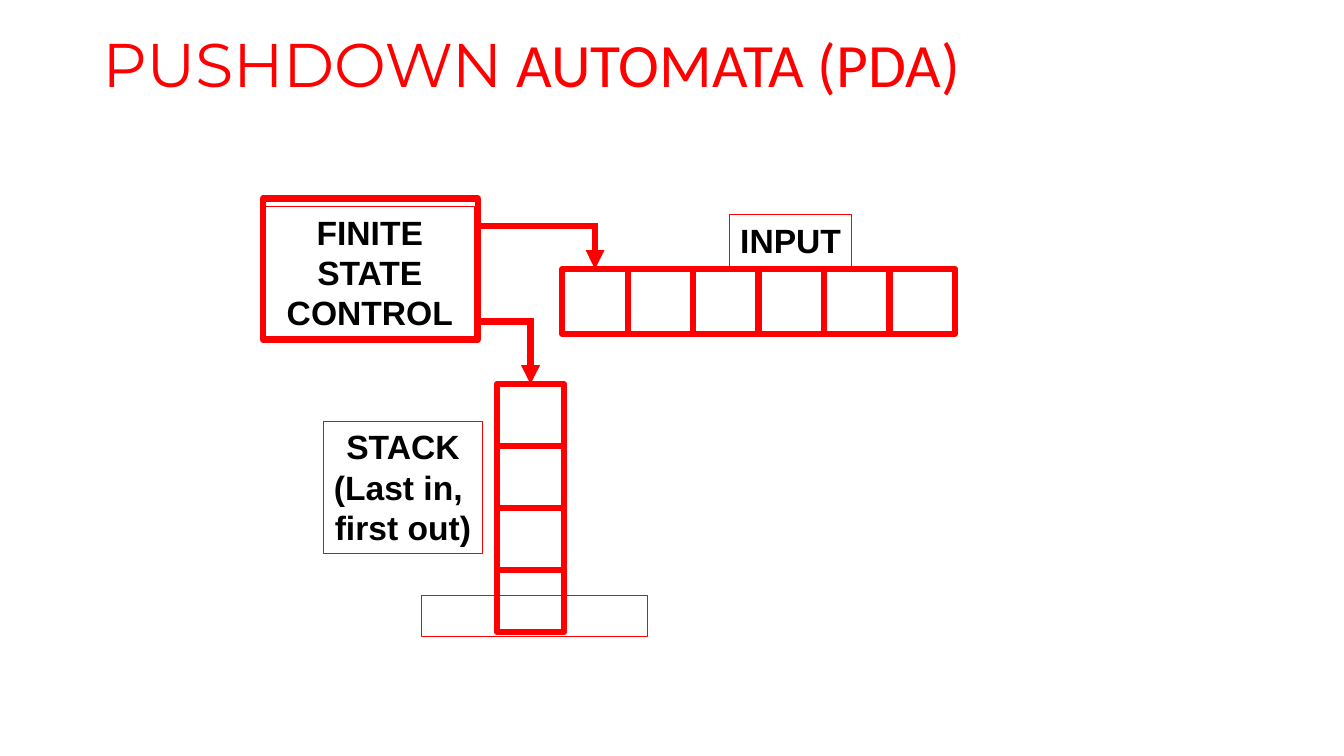
from dataclasses import dataclass

from lxml import etree
from pptx import Presentation
from pptx import util as u
from pptx.dml.color import RGBColor
from pptx.enum import shapes, text
from pptx.oxml import ns


@dataclass(frozen=True)
class Theme:
    red: RGBColor = RGBColor(0xFF, 0, 0)
    black: RGBColor = RGBColor(0, 0, 0)
    title_size: u.Pt = u.Pt(44)
    label_size: u.Pt = u.Pt(24)
    thick: u.Pt = u.Pt(4.5)
    thin: u.Pt = u.Pt(0.75)


THEME = Theme()


def add_title(s, parts):
    """Write one line from (wording, font) pairs."""
    tf = s.shapes.add_textbox(u.Cm(2.34), u.Cm(0.58), u.Cm(29.21), u.Cm(2.24)).text_frame
    tf.word_wrap = True
    tf.vertical_anchor = text.MSO_ANCHOR.MIDDLE
    p = tf.paragraphs[0]
    p.line_spacing = 0.9
    for wording, font in parts:
        r = p.add_run()
        r.text = wording
        r.font.name = font
        r.font.size = THEME.title_size
        r.font.color.rgb = THEME.red


def add_box(s, left, top, width, height, weight=THEME.thick):
    sp = s.shapes.add_shape(shapes.MSO_SHAPE.RECTANGLE,
                            u.Cm(left), u.Cm(top), u.Cm(width), u.Cm(height))
    sp.shadow.inherit = False
    sp.fill.background()
    sp.line.color.rgb = THEME.red
    sp.line.width = weight
    return sp


def add_label(s, wording, left, top, width, height, wrap=False):
    tf = add_box(s, left, top, width, height, THEME.thin).text_frame
    tf.text = wording
    tf.word_wrap = wrap
    tf.auto_size = text.MSO_AUTO_SIZE.SHAPE_TO_FIT_TEXT
    tf.vertical_anchor = text.MSO_ANCHOR.TOP
    for p in tf.paragraphs:
        p.alignment = text.PP_ALIGN.CENTER
        p.font.name = "Arial"
        p.font.size = THEME.label_size
        p.font.bold = True
        p.font.color.rgb = THEME.black


def add_cells(s, count, left, top, width, height, across):
    """Add touching cells in a row or a column."""
    dx, dy = (width, 0) if across else (0, height)
    return [add_box(s, left + i * dx, top + i * dy, width, height) for i in range(count)]


def add_line(s, x1, y1, x2, y2):
    line = s.shapes.add_connector(shapes.MSO_CONNECTOR.STRAIGHT, x1, y1, x2, y2)
    line.line.color.rgb = THEME.red
    line.line.width = THEME.thick
    etree.SubElement(line._element.spPr, ns.qn("a:effectLst"))
    return line


def add_elbow_arrow(s, left, y, cell):
    """Run right from left, then down to the top of the cell."""
    x = cell.left + cell.width // 2
    overlap = THEME.thick // 2
    add_line(s, left, y, x + overlap, y)
    arrow = add_line(s, x, y, x, cell.top)
    arrow.end_connect(cell, 0)
    tail = etree.SubElement(arrow.line._get_or_add_ln(), ns.qn("a:tailEnd"))
    tail.set("type", "triangle")


def main():
    prs = Presentation()
    prs.slide_width, prs.slide_height = u.Cm(33.87), u.Cm(19.05)
    s = prs.slides.add_slide(prs.slide_layouts[6])

    add_title(s, [("PUSHDOWN", "Montserrat"), (" AUTOMATA (PDA)", "Calibri")])

    control = add_box(s, 6.63, 5, 5.41, 3.56)
    add_label(s, "FINITE STATE CONTROL", 6.68, 5.21, 5.28, 3.33, wrap=True)

    stack = add_cells(s, 4, 12.52, 9.68, 1.7, 1.56, across=False)
    add_box(s, 10.62, 15.01, 5.69, 1.02, THEME.thin)
    tape = add_cells(s, 6, 14.17, 6.78, 1.65, 1.63, across=True)

    control_right = control.left + control.width
    add_elbow_arrow(s, control_right, u.Cm(8.1), stack[0])
    add_elbow_arrow(s, control_right, u.Cm(5.69), tape[0])

    add_label(s, "STACK\n(Last in, \nfirst out)", 8.15, 10.62, 4.01, 3.33)
    add_label(s, "INPUT", 18.39, 5.41, 3.07, 1.3)

    prs.save("out.pptx")


if __name__ == "__main__":
    main()
